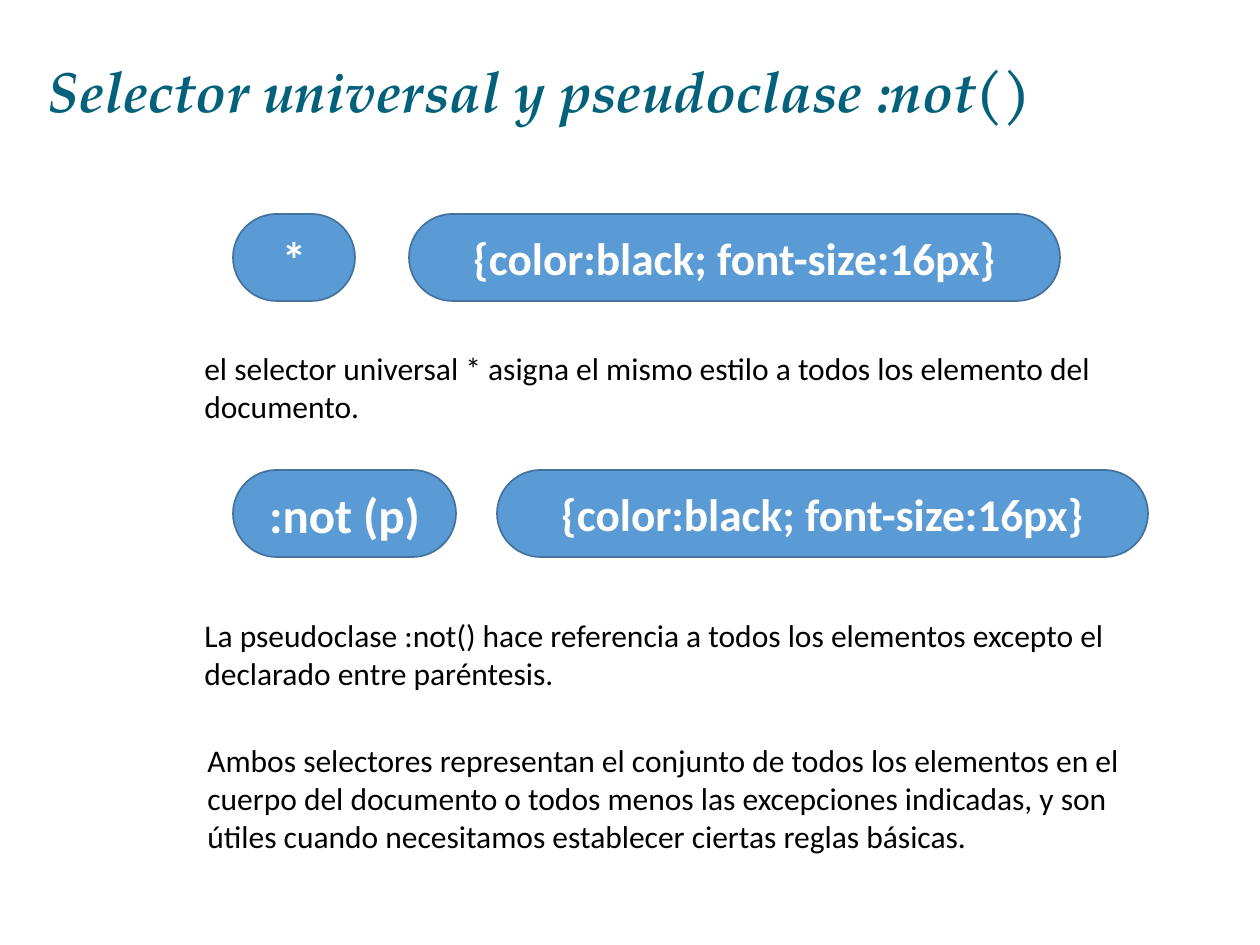
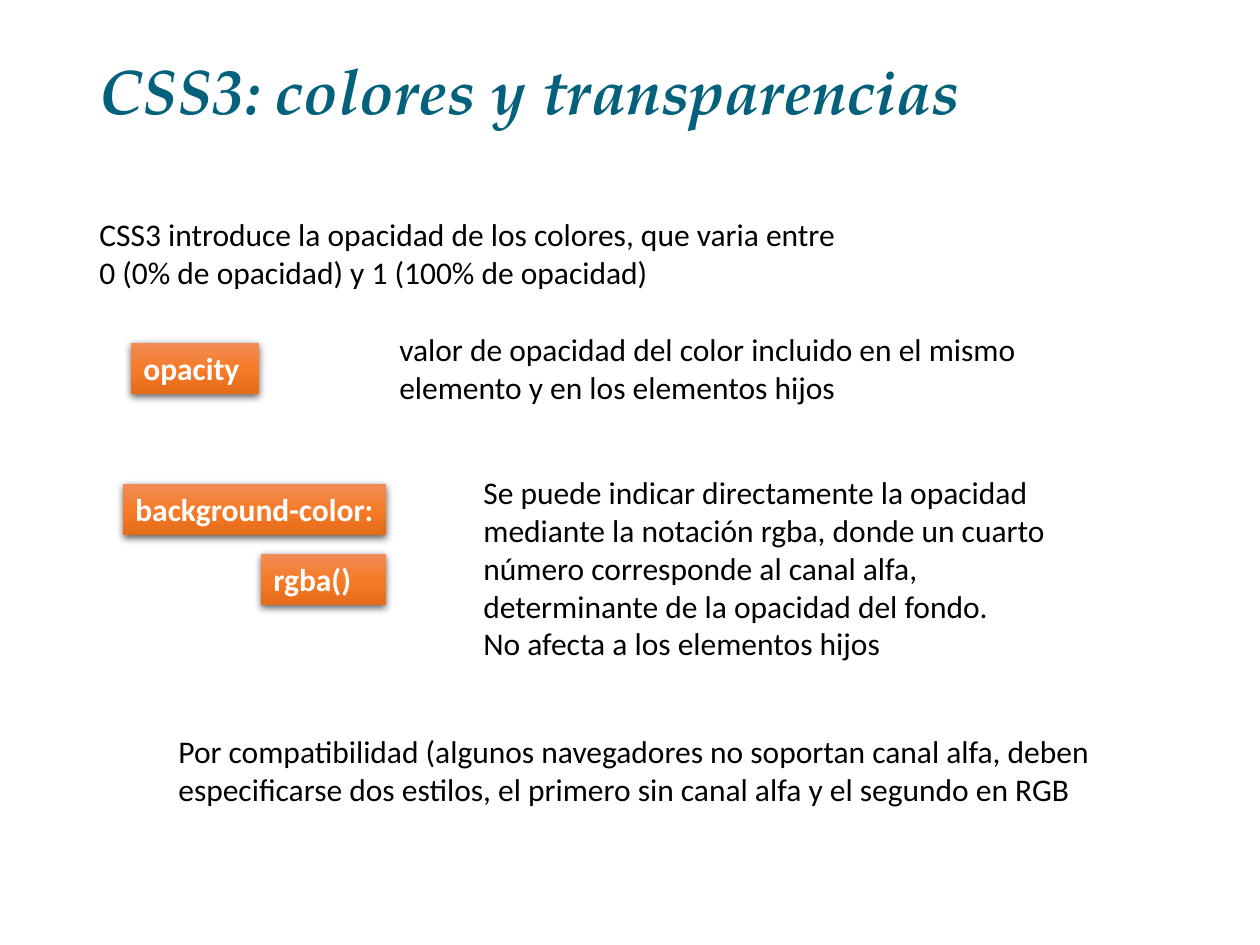
from typing import NamedTuple

from lxml.etree import SubElement
from pptx import Presentation
from pptx.dml.color import RGBColor
from pptx.enum.shapes import MSO_SHAPE
from pptx.enum.text import MSO_ANCHOR, PP_ALIGN
from pptx.oxml.ns import qn
from pptx.util import Emu, Pt

PX = 914400 / 126
TEAL = RGBColor(0x04, 0x61, 0x7B)
BLUE = RGBColor(0x5B, 0x9B, 0xD5)
NAVY = RGBColor(0x43, 0x73, 0x9E)
BLACK = RGBColor(0, 0, 0)
WHITE = RGBColor(0xFF, 0xFF, 0xFF)
ORANGE = {
    0: RGBColor(0xF1, 0x8C, 0x57),
    50: RGBColor(0xF6, 0x7B, 0x28),
    100: RGBColor(0xE5, 0x6C, 0x19),
}
SERIF = "TeX Gyre Pagella"
SANS = "Calibri"
PILL_H = 87
TAG_H = 51


class Box(NamedTuple):
    text: str
    x: int
    y: int
    w: int
    h: int
    size: float = 18


def px(*nums: int) -> list[Emu]:
    return [Emu(round(num * PX)) for num in nums]


def write(frame, text: str, *, size: float = 18, font: str = SANS,
          color: RGBColor = BLACK, bold: bool = False, italic: bool = False,
          align=PP_ALIGN.LEFT, anchor=MSO_ANCHOR.TOP, spacing: float = 1.0):
    """Fill a frame, one paragraph per line of text."""
    frame.text = text
    frame.word_wrap = True
    frame.vertical_anchor = anchor
    for para in frame.paragraphs:
        para.alignment = align
        para.line_spacing = spacing
        face = para.font
        face.name, face.size = font, Pt(size)
        face.bold, face.italic = bold, italic
        face.color.rgb = color


def add_page(deck, head: Box):
    page = deck.slides.add_slide(deck.slide_layouts[5])
    title = page.shapes.title
    title.left, title.top, title.width, title.height = px(head.x, head.y, head.w, head.h)
    write(title.text_frame, head.text, size=head.size, font=SERIF, color=TEAL,
          bold=True, italic=True, anchor=MSO_ANCHOR.MIDDLE, spacing=0.9)
    return page


def add_note(page, box: Box):
    note = page.shapes.add_textbox(*px(box.x, box.y, box.w, box.h))
    write(note.text_frame, box.text, size=box.size)


def add_pill(page, box: Box):
    pill = page.shapes.add_shape(MSO_SHAPE.ROUNDED_RECTANGLE,
                                 *px(box.x, box.y, box.w, box.h))
    pill.adjustments[0] = 0.5
    pill.shadow.inherit = False
    pill.fill.solid()
    pill.fill.fore_color.rgb = BLUE
    pill.line.color.rgb = NAVY
    pill.line.width = Pt(1)
    write(pill.text_frame, box.text, size=box.size, color=WHITE, bold=True,
          align=PP_ALIGN.CENTER, anchor=MSO_ANCHOR.MIDDLE)


def add_tag(page, box: Box):
    """Draw a property name on an orange gradient with a soft shadow."""
    tag = page.shapes.add_shape(MSO_SHAPE.RECTANGLE, *px(box.x, box.y, box.w, box.h))
    tag.line.fill.background()
    tag.fill.gradient()
    tag.fill.gradient_angle = 270
    props = tag.element.spPr
    stops = props.find(".//" + qn("a:gsLst"))
    for stop in list(stops):
        stops.remove(stop)
    for place, color in ORANGE.items():
        stop = SubElement(stops, qn("a:gs"), pos=str(place * 1000))
        SubElement(stop, qn("a:srgbClr"), val=str(color))
    tag.shadow.inherit = False
    shade = SubElement(props.find(qn("a:effectLst")), qn("a:outerShdw"),
                       blurRad=str(Pt(4.5)), dist=str(Pt(1.5)), dir="5400000",
                       rotWithShape="0")
    tint = SubElement(shade, qn("a:srgbClr"), val=str(BLACK))
    SubElement(tint, qn("a:alpha"), val="63000")
    write(tag.text_frame, box.text, size=box.size, color=WHITE, bold=True)
    tag.text_frame.margin_right = 0


RULE = "{color:black; font-size:16px}"
PILLS = [
    Box("*", 233, 214, 122, PILL_H, 28),
    Box(RULE, 409, 214, 651, PILL_H, 25.9),
    Box(":not (p)", 233, 470, 223, PILL_H, 28),
    Box(RULE, 497, 470, 651, PILL_H, 25.9),
]
RULE_NOTES = [
    Box("el selector universal * asigna el mismo estilo a todos los elemento del\n"
        "documento.", 192, 343, 984, 89),
    Box("La pseudoclase :not() hace referencia a todos los elementos excepto el "
        "declarado entre paréntesis.", 192, 610, 1014, 89),
    Box("Ambos selectores representan el conjunto de todos los elementos en el "
        "cuerpo del documento o todos menos las excepciones indicadas, y son "
        "útiles cuando necesitamos establecer ciertas reglas básicas.",
        195, 735, 984, 127),
]
TAGS = [
    Box("opacity", 131, 343, 128, TAG_H),
    Box("background-color:", 123, 484, 263, TAG_H),
    Box("rgba()", 261, 554, 125, TAG_H),
]
COLOR_NOTES = [
    Box("CSS3 introduce la opacidad de los colores, que varia entre "
        "0 (0% de opacidad) y 1 (100% de opacidad)", 87, 209, 769, 89),
    Box("valor de opacidad del color incluido en el mismo elemento y en los "
        "elementos hijos", 387, 324, 668, 89),
    Box("Se puede indicar directamente la opacidad mediante la notación rgba, "
        "donde un cuarto número corresponde al canal alfa, determinante de la "
        "opacidad del fondo.\nNo afecta a los elementos hijos", 471, 467, 615, 204),
    Box("Por compatibilidad (algunos navegadores no soportan canal alfa, deben "
        "especificarse dos estilos, el primero sin canal alfa y el segundo en RGB",
        166, 726, 954, 89),
]


def main():
    deck = Presentation()
    deck.slide_width, deck.slide_height = px(1260, 945)

    page = add_page(deck, Box("Selector universal y pseudoclase :not()",
                              35, 50, 1086, 88, 32.4))
    for box in PILLS:
        add_pill(page, box)
    for box in RULE_NOTES:
        add_note(page, box)

    page = add_page(deck, Box("CSS3: colores y transparencias", 87, 50, 1086, 88, 36))
    for box in TAGS:
        add_tag(page, box)
    for box in COLOR_NOTES:
        add_note(page, box)

    deck.save("out.pptx")


if __name__ == "__main__":
    main()
